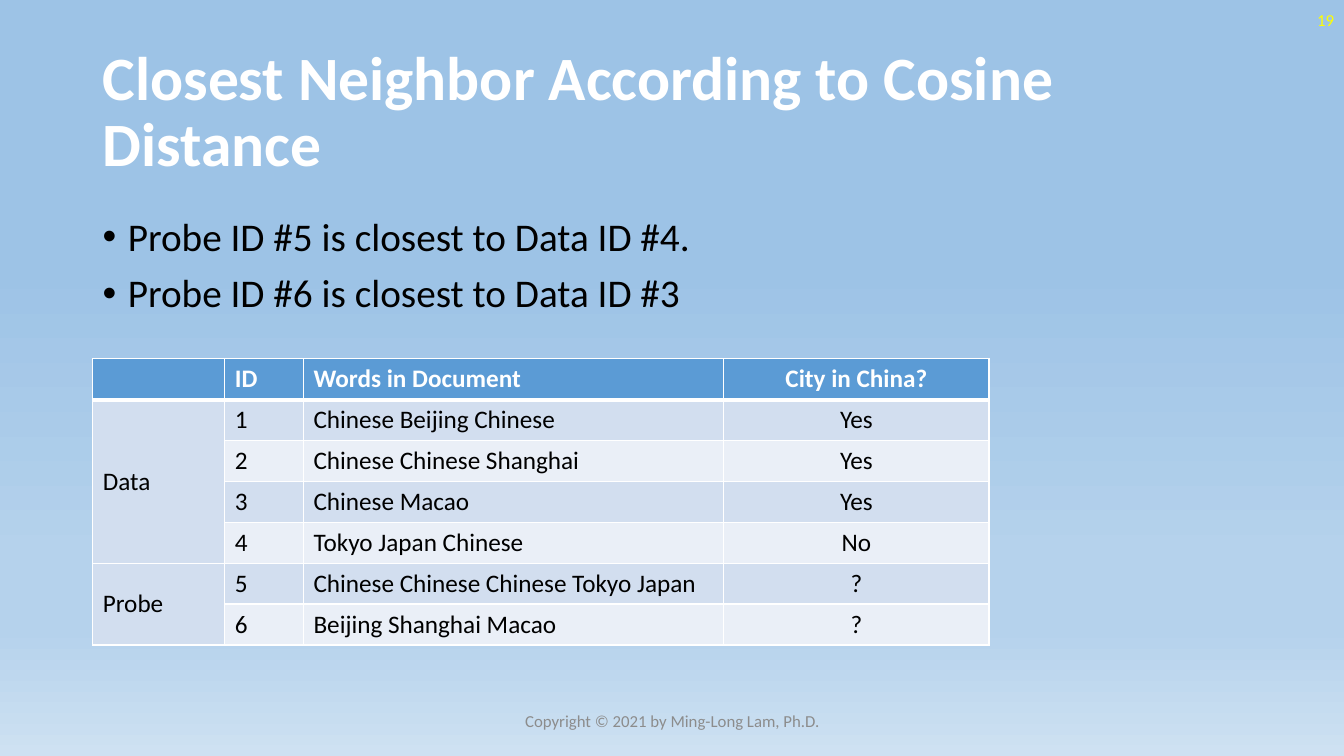
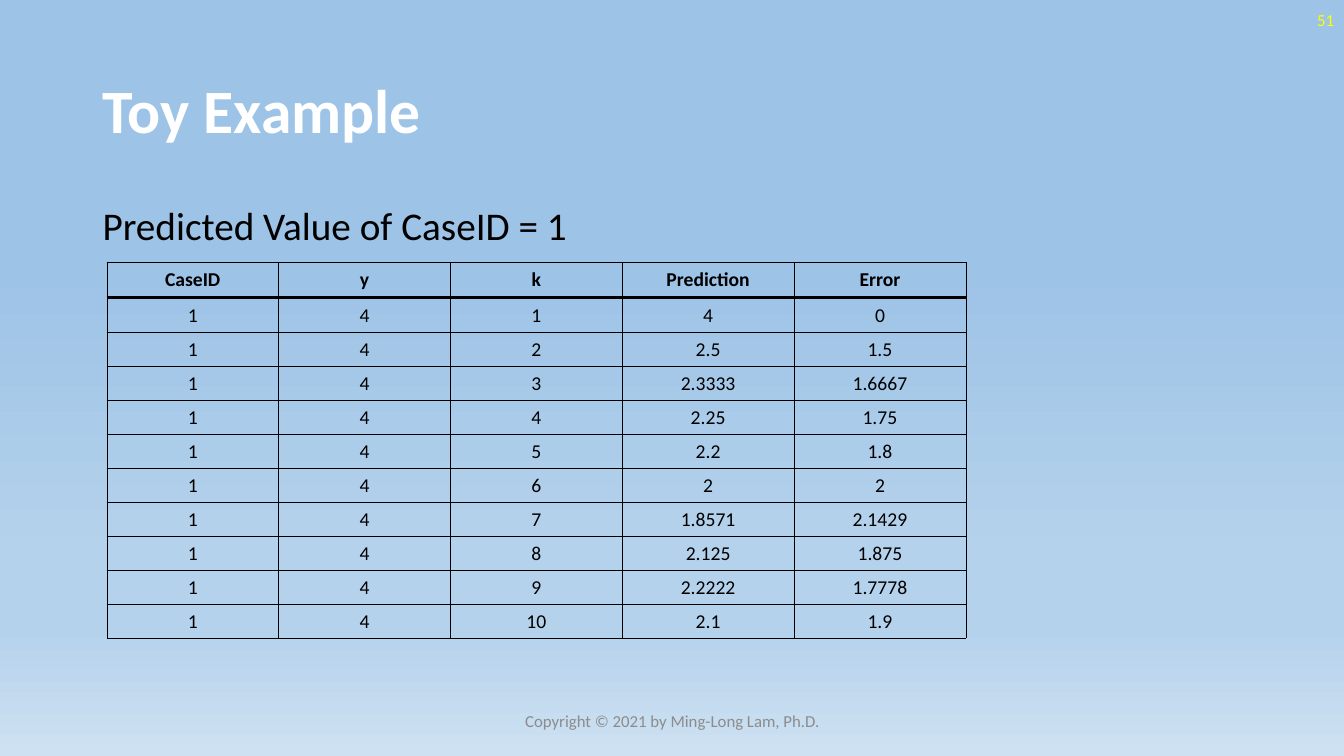
import pptx
import pptx.dml.color
import pptx.enum.text
import pptx.oxml.ns
import pptx.util
from lxml import etree

Inches = pptx.util.Inches
Pt = pptx.util.Pt
qn = pptx.oxml.ns.qn
ALIGN = pptx.enum.text.PP_ALIGN
ANCHOR = pptx.enum.text.MSO_ANCHOR

FONT = "Calibri"
WHITE, BLACK, YELLOW, GREY = "FFFFFF", "000000", "FFFF00", "8C8C8C"
HEADER_BLUE, BAND_DARK, BAND_LIGHT = "5B9BD5", "D2DEEF", "EAEFF7"
BACKGROUND_STOPS = [(35, "9DC3E6"), (74, "B5D2EC"), (83, "B5D2EC"), (100, "CEE1F2")]

TITLE_BOX = (0.92, 0.4, 11.5, 1.45)
NUMBER_BOX = (10.33, 0, 3, 0.4)
FOOTER_BOX = (4.42, 6.95, 4.5, 0.4)
FOOTER = "Copyright © 2021 by Ming-Long Lam, Ph.D."

DOCUMENTS = [
    ["", "ID", "Words in Document", "City in China?"],
    ["Data", "1", "Chinese Beijing Chinese", "Yes"],
    ["", "2", "Chinese Chinese Shanghai", "Yes"],
    ["", "3", "Chinese Macao", "Yes"],
    ["", "4", "Tokyo Japan Chinese", "No"],
    ["Probe", "5", "Chinese Chinese Chinese Tokyo Japan", "?"],
    ["", "6", "Beijing Shanghai Macao", "?"],
]
PREDICTIONS = [
    ("4", "0"), ("2.5", "1.5"), ("2.3333", "1.6667"), ("2.25", "1.75"), ("2.2", "1.8"),
    ("2", "2"), ("1.8571", "2.1429"), ("2.125", "1.875"), ("2.2222", "1.7778"), ("2.1", "1.9"),
]


def color(value):
    """Turn a hex string into a colour."""
    return pptx.dml.color.RGBColor.from_string(value)


def style_para(para, size, ink, bold=False, align=ALIGN.LEFT):
    """Set the font and alignment of a paragraph."""
    para.alignment = align
    para.font.name = FONT
    para.font.size = Pt(size)
    para.font.bold = bold
    para.font.color.rgb = color(ink)


def add_text(page, box, lines, size, ink, bold=False, align=ALIGN.LEFT,
             anchor=ANCHOR.MIDDLE, spacing=1.0, before=0, bullet=False):
    """Place a text box holding one paragraph per line."""
    frame = page.shapes.add_textbox(*map(Inches, box)).text_frame
    frame.word_wrap = True
    frame.vertical_anchor = anchor
    for index, line in enumerate(lines):
        para = frame.add_paragraph() if index else frame.paragraphs[0]
        para.text = line
        para.line_spacing = spacing
        para.space_before = Pt(before)
        if bullet:
            props = para._p.get_or_add_pPr()
            props.set("marL", str(Inches(0.25)))
            props.set("indent", str(Inches(-0.25)))
            etree.SubElement(props, qn("a:buFont"), typeface="Arial")
            etree.SubElement(props, qn("a:buChar"), char="•")
        style_para(para, size, ink, bold, align)


def add_body(page, box, lines, bullet=False):
    """Place the body text under the title."""
    add_text(page, box, lines, 28, BLACK, anchor=ANCHOR.TOP, spacing=0.9, before=10, bullet=bullet)


def set_background(master):
    """Give every slide the vertical blue gradient."""
    fill = master.background.fill
    fill.gradient()
    fill.gradient_angle = 270
    stops = master.element.find(".//" + qn("p:bg")).find(".//" + qn("a:gsLst"))
    for stop in list(stops):
        stops.remove(stop)
    for position, value in BACKGROUND_STOPS:
        stop = etree.SubElement(stops, qn("a:gs"), pos=str(position * 1000))
        etree.SubElement(stop, qn("a:srgbClr"), val=value)


def add_page(deck, title, number):
    """Add a slide with its title, number and footer."""
    page = deck.slides.add_slide(deck.slide_layouts[6])
    add_text(page, TITLE_BOX, [title], 44, WHITE, bold=True, spacing=0.9)
    add_text(page, NUMBER_BOX, [number], 12, YELLOW, align=ALIGN.RIGHT)
    add_text(page, FOOTER_BOX, [FOOTER], 12, GREY, align=ALIGN.CENTER)
    return page


def set_borders(cell, ink, widths):
    """Draw the left, right, top and bottom borders of a cell."""
    props = cell._tc.get_or_add_tcPr()
    for side, width in zip("LRTB", widths):
        line = etree.SubElement(props, qn("a:ln" + side), w=str(Pt(width)))
        solid = etree.SubElement(line, qn("a:solidFill"))
        etree.SubElement(solid, qn("a:srgbClr"), val=ink)


def add_grid(page, box, rows, widths, heights, size, head_ink, line_ink, thin, thick,
             centred, fills=None, inset=None):
    """Place a table whose header is ruled off by a thick line."""
    frame = page.shapes.add_table(len(rows), len(widths), *map(Inches, box))
    table = frame.table
    table.first_row = table.horz_banding = False
    for column, width in zip(table.columns, widths):
        column.width = Inches(width)
    for row, height in zip(table.rows, heights):
        row.height = Inches(height)
    for r, texts in enumerate(rows):
        for c, text in enumerate(texts):
            cell = table.cell(r, c)
            cell.text = text
            cell.vertical_anchor = ANCHOR.MIDDLE
            if inset is not None:
                cell.margin_left = cell.margin_right = cell.margin_top = Inches(inset)
                cell.margin_bottom = 0
            style_para(cell.text_frame.paragraphs[0], size, BLACK if r else head_ink,
                       r == 0, ALIGN.CENTER if c in centred else ALIGN.LEFT)
            set_borders(cell, line_ink,
                        (thin, thin, thick if r == 1 else thin, thick if r == 0 else thin))
            if fills:
                cell.fill.solid()
                cell.fill.fore_color.rgb = color(fills(r, c))
            else:
                cell.fill.background()
    return table


def document_fill(row, column):
    """Choose the fill of a cell in the document table."""
    if row == 0:
        return HEADER_BLUE
    return BAND_DARK if column == 0 or row % 2 else BAND_LIGHT


def build_neighbor_page(deck):
    """Build the slide on the closest neighbors."""
    page = add_page(deck, "Closest Neighbor According to Cosine Distance", "19")
    add_body(page, (0.92, 2.11, 11.5, 1.18),
             ["Probe ID #5 is closest to Data ID #4.", "Probe ID #6 is closest to Data ID #3"],
             bullet=True)
    table = add_grid(page, (0.92, 3.56, 8.89, 2.84), DOCUMENTS, [1.31, 0.78, 4.17, 2.63],
                     [2.84 / 7] * 7, 18, WHITE, WHITE, 1, 3, {3}, fills=document_fill)
    for first, last in [(1, 4), (5, 6)]:
        table.cell(first, 0).merge(table.cell(last, 0))


def build_example_page(deck):
    """Build the slide with the predictions for each k."""
    page = add_page(deck, "Toy Example", "51")
    add_body(page, (0.92, 2, 11.5, 0.6), ["Predicted Value of CaseID = 1"])
    rows = [["CaseID", "y", "k", "Prediction", "Error"]]
    rows += [["1", "4", str(k), *pair] for k, pair in enumerate(PREDICTIONS, 1)]
    heights = [0.35] * 2 + [(3.73 - 0.7) / 9] * 9
    add_grid(page, (1.06, 2.6, 8.52, 3.73), rows, [8.52 / 5] * 5, heights,
             14, BLACK, BLACK, 0.5, 2, range(5), inset=0.01)


def main():
    """Build and save the deck."""
    deck = pptx.Presentation()
    deck.slide_width, deck.slide_height = Inches(13.33), Inches(7.5)
    set_background(deck.slide_master)
    build_neighbor_page(deck)
    build_example_page(deck)
    deck.save("out.pptx")


if __name__ == "__main__":
    main()
